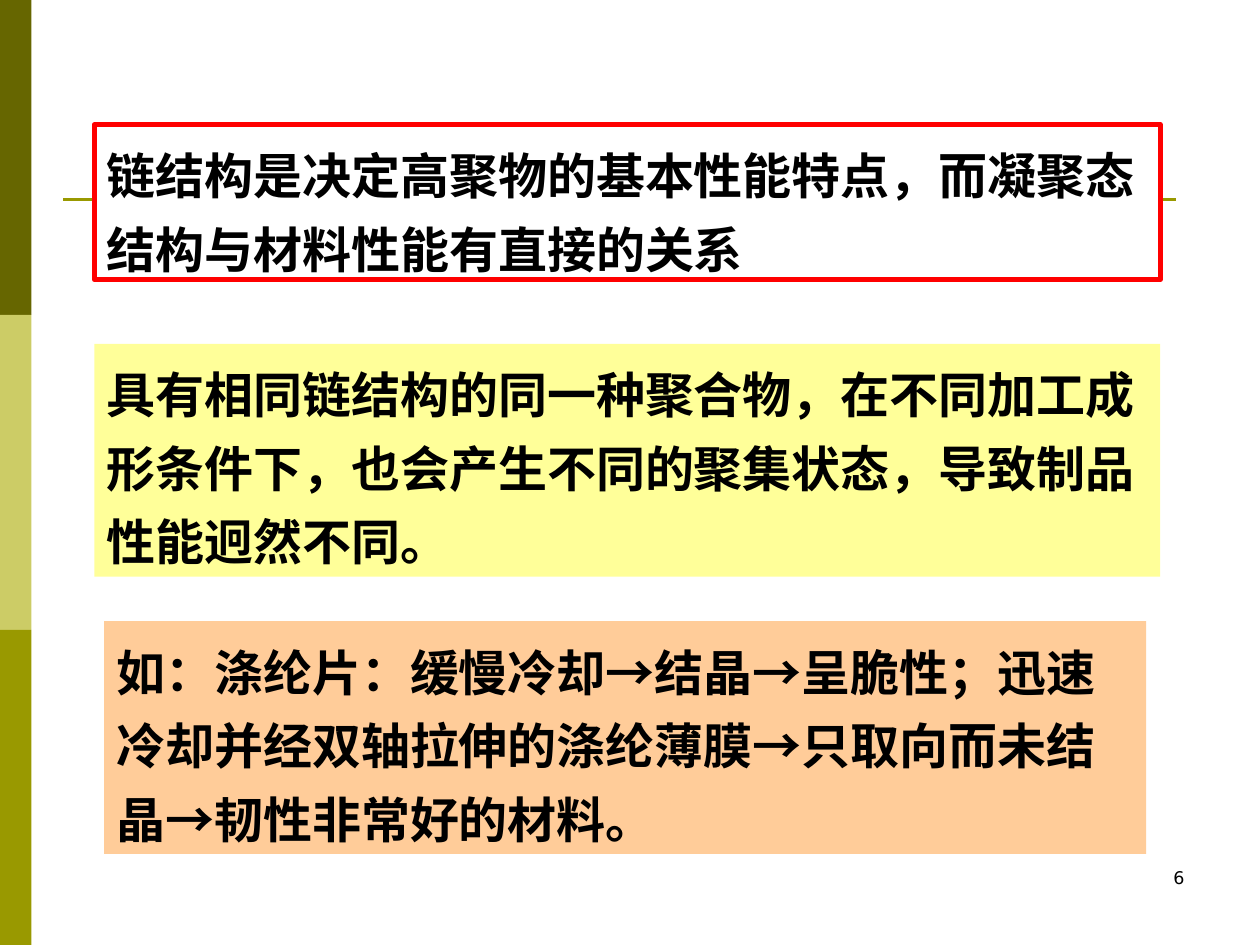
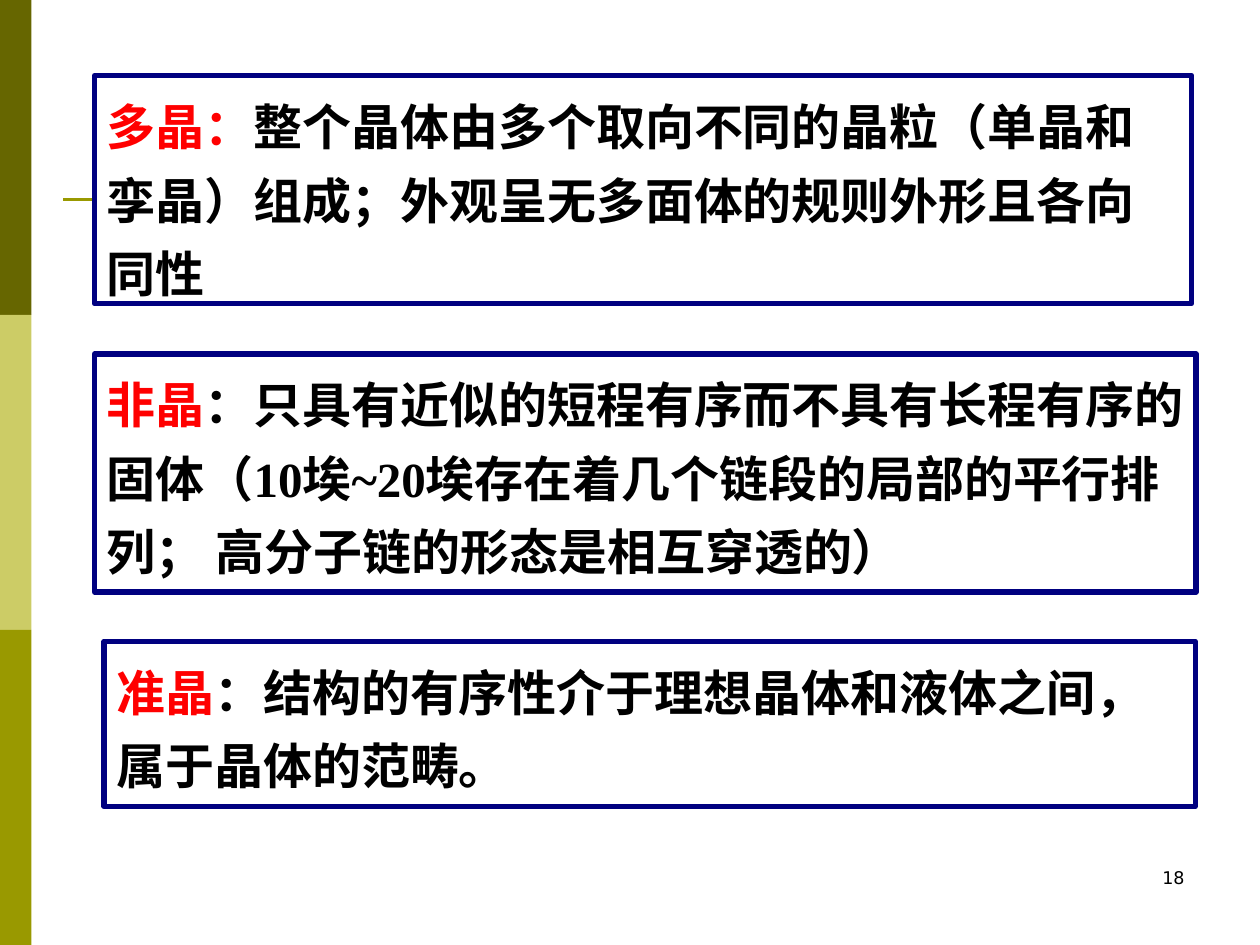
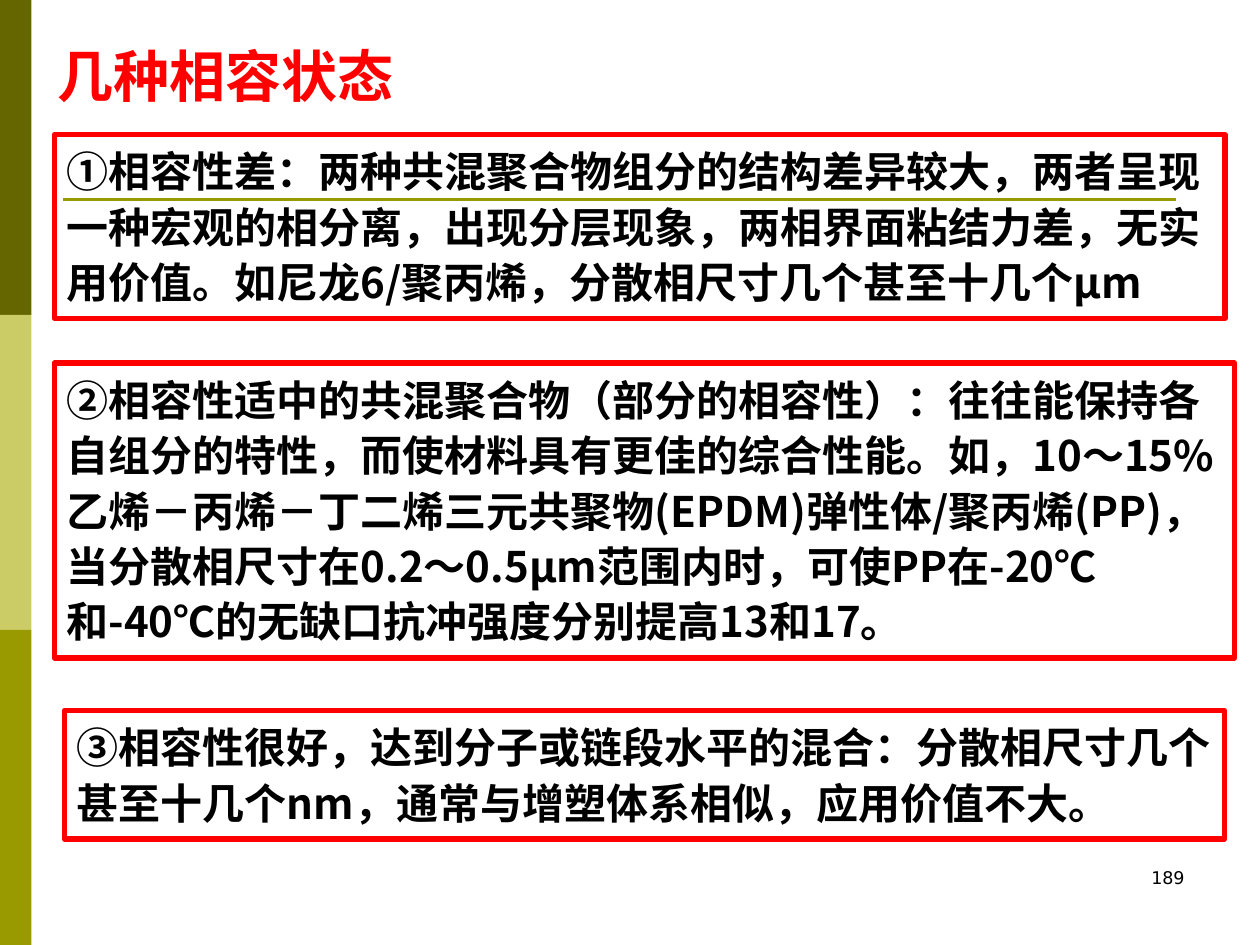
import pptx
import pptx.dml.color
import pptx.enum.shapes
import pptx.enum.text
import pptx.oxml
import pptx.oxml.ns
import pptx.util

Pt = pptx.util.Pt
CJK_FONT = "Noto Sans CJK SC"
BLACK, RED, NAVY, WHITE = "000000", "FF0000", "000080", "FFFFFF"
OLIVE = "999900"
BANDS = ["666600", "CCCC66", OLIVE]
BAND_WIDTH, BAND_HEIGHT = 18, 180
TITLE_ONLY, BLANK = 5, 6


def rgb(color):
    return pptx.dml.color.RGBColor.from_string(color)


def write(shape, *runs, size=28, bold=True, spacing=1.0, align="LEFT"):
    """Fill a shape with one paragraph of (text, colour, latin font) runs."""
    frame = shape.text_frame
    frame.word_wrap = True
    frame.auto_size = pptx.enum.text.MSO_AUTO_SIZE.NONE
    frame.vertical_anchor = pptx.enum.text.MSO_ANCHOR.TOP
    para = frame.paragraphs[0]
    para.alignment = getattr(pptx.enum.text.PP_ALIGN, align)
    para.line_spacing = spacing
    para.space_before = Pt(0)
    for text, color, font in runs:
        span = para.add_run()
        span.text = text
        span.font.size = Pt(size)
        span.font.bold = bold
        span.font.name = font
        span.font.color.rgb = rgb(color)
        properties = span._r.get_or_add_rPr()
        properties.set("lang", "zh-CN")
        latin = properties.find(pptx.oxml.ns.qn("a:latin"))
        east_asian = pptx.oxml.parse_xml(
            f'<a:ea {pptx.oxml.ns.nsdecls("a")} typeface="{CJK_FONT}"/>')
        latin.addnext(east_asian)


# Each box: position and size, fill, outline, runs
slides = [
    {"number": "6", "size": 28, "spacing": 1.25, "boxes": [
        ((54, 71.3, 609, 88.5), WHITE, RED, [
            ("链结构是决定高聚物的基本性能特点，而凝聚态结构与材料性能有直接的关系", BLACK, CJK_FONT)]),
        ((59.5, 355, 595.5, 133), "FFCC99", None, [
            ("如：涤纶片：缓慢冷却→结晶→呈脆性；迅速冷却并经双轴拉伸的涤纶薄膜→只取向而未结晶→韧性非常好的材料。",
             BLACK, CJK_FONT)]),
        ((54, 196.5, 609, 133), "FFFF99", None, [
            ("具有相同链结构的同一种聚合物，在不同加工成形条件下，也会产生不同的聚集状态，导致制品性能迥然不同。",
             BLACK, CJK_FONT)]),
    ]},
    {"number": "18", "size": 28, "spacing": 1.25, "boxes": [
        ((54, 43.2, 627, 130.3), WHITE, NAVY, [
            ("多晶：", RED, CJK_FONT),
            ("整个晶体由多个取向不同的晶粒（单晶和孪晶）组成；外观呈无多面体的规则外形且各向同性", BLACK, CJK_FONT)]),
        ((54, 202.3, 629.5, 136), WHITE, NAVY, [
            ("非晶", RED, CJK_FONT),
            ("：", BLACK, CJK_FONT),
            ("只具有近似的短程有序而不具有长程有序的固体（10埃~20埃存在着几个链段的局部的平行排列； 高分子链的形态是相互穿透的）",
             BLACK, "Times New Roman")]),
        ((59.5, 366.5, 623.5, 94.3), WHITE, NAVY, [
            ("准晶", RED, CJK_FONT),
            ("：结构的有序性介于理想晶体和液体之间，属于晶体的范畴。", BLACK, CJK_FONT)]),
    ]},
    {"number": "189", "title": "几种相容状态", "size": 24, "spacing": 1.1, "boxes": [
        ((31, 77, 669, 105), None, RED, [
            ("①相容性差：两种共混聚合物组分的结构差异较大，两者呈现一种宏观的相分离，出现分层现象，"
             "两相界面粘结力差，无实用价值。如尼龙6/聚丙烯，分散相尺寸几个甚至十几个μm", BLACK, CJK_FONT)]),
        ((31, 207.5, 674.5, 168.5), None, RED, [
            ("②相容性适中的共混聚合物（部分的相容性）：往往能保持各自组分的特性，而使材料具有更佳的综合性能。"
             "如，10～15%乙烯－丙烯－丁二烯三元共聚物(EPDM)弹性体/聚丙烯(PP)，当分散相尺寸在0.2～0.5μm范围内时，"
             "可使PP在-20℃和-40℃的无缺口抗冲强度分别提高13和17。", BLACK, CJK_FONT)]),
        ((36.7, 406, 663, 73.5), None, RED, [
            ("③相容性很好，达到分子或链段水平的混合：分散相尺寸几个甚至十几个nm，通常与增塑体系相似，应用价值不大。",
             BLACK, CJK_FONT)]),
    ]},
]

deck = pptx.Presentation()
deck.slide_width, deck.slide_height = Pt(720), Pt(540)
rectangle = pptx.enum.shapes.MSO_SHAPE.RECTANGLE

for content in slides:
    layout = TITLE_ONLY if "title" in content else BLANK
    slide = deck.slides.add_slide(deck.slide_layouts[layout])

    for row, color in enumerate(BANDS):
        band = slide.shapes.add_shape(
            rectangle, Pt(0), Pt(row * BAND_HEIGHT), Pt(BAND_WIDTH), Pt(BAND_HEIGHT))
        band.shadow.inherit = False
        band.fill.solid()
        band.fill.fore_color.rgb = rgb(color)
        band.line.fill.background()

    rule = slide.shapes.add_connector(
        pptx.enum.shapes.MSO_CONNECTOR.STRAIGHT, Pt(36), Pt(114), Pt(672), Pt(114))
    rule.line.color.rgb = rgb(OLIVE)
    rule.line.width = Pt(1.5)
    rule._element.spPr.append(
        pptx.oxml.parse_xml(f'<a:effectLst {pptx.oxml.ns.nsdecls("a")}/>'))

    number = slide.shapes.add_textbox(Pt(516), Pt(492), Pt(168), Pt(36))
    write(number, (content["number"], BLACK, "DejaVu Sans"), size=10, bold=False, align="RIGHT")

    if "title" in content:
        title = slide.shapes.title
        title.left, title.top, title.width, title.height = Pt(25.5), Pt(20), Pt(238), Pt(45.5)
        write(title, (content["title"], RED, CJK_FONT), size=32)

    for place, fill, outline, runs in content["boxes"]:
        box = slide.shapes.add_shape(rectangle, *map(Pt, place))
        box.shadow.inherit = False
        if fill:
            box.fill.solid()
            box.fill.fore_color.rgb = rgb(fill)
        else:
            box.fill.background()
        if outline:
            box.line.color.rgb = rgb(outline)
            box.line.width = Pt(3)
        else:
            box.line.fill.background()
        write(box, *runs, size=content["size"], spacing=content["spacing"])

deck.save("out.pptx")
